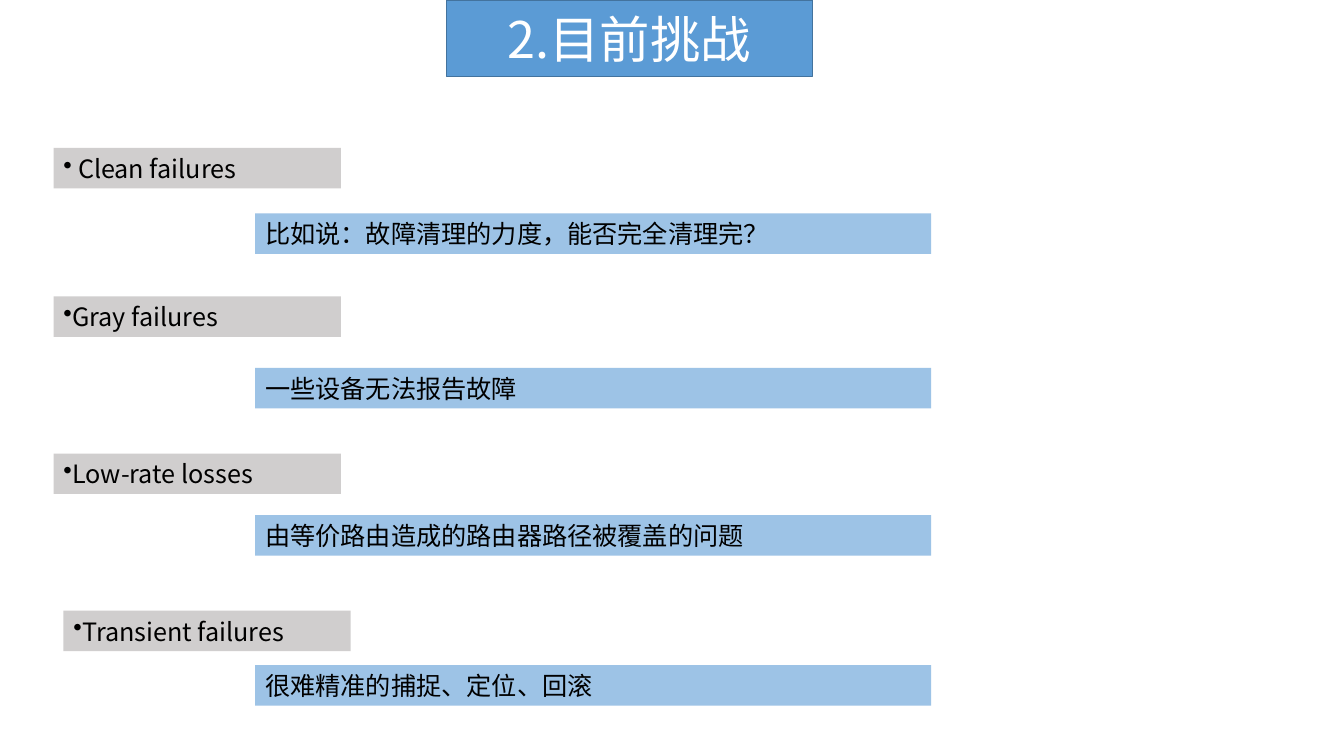
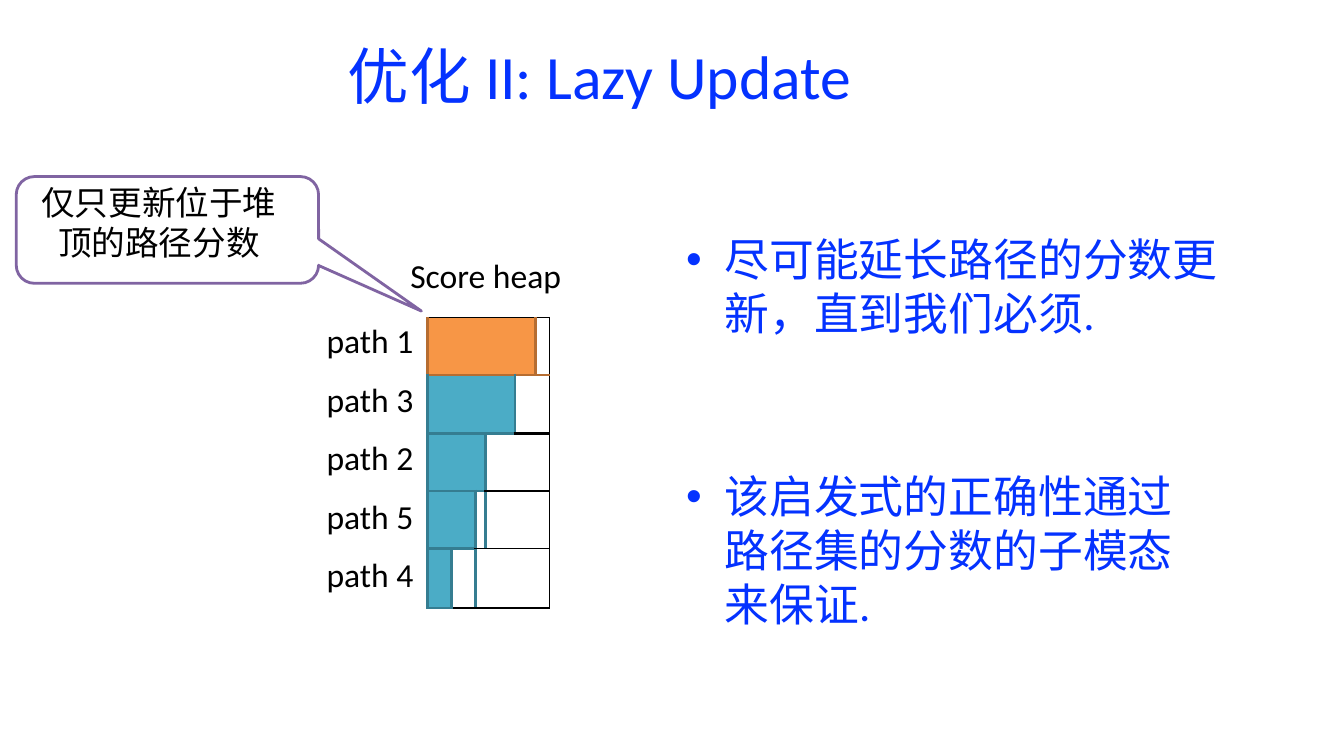
"""Build two slides on network failure challenges and lazy path updates."""
from lxml import etree
from pptx import Presentation
from pptx.dml.color import RGBColor
from pptx.enum import shapes, text
from pptx.oxml import ns
from pptx.util import Cm, Pt

COLORS = {
    "black": "000000", "white": "FFFFFF", "blue": "0432FF",
    "banner": "5B9BD5", "banner_edge": "43739E",
    "gray": "D0CECE", "sky": "9DC3E6", "purple": "8064A2",
    "orange": "F79646", "orange_edge": "B66D31",
    "teal": "4BACC6", "teal_edge": "357D91",
}
NOTO, CALIBRI = "Noto Sans CJK SC", "Calibri"
NO_STYLE = "{2D5ABB26-0587-4C30-8999-92F81FD0307C}"

CHALLENGES = [
    (" Clean failures", 1.35, 3.73, "比如说：故障清理的力度，能否完全清理完？", 5.38),
    ("Gray failures", 1.35, 7.47, "一些设备无法报告故障", 9.27),
    ("Low-rate losses", 1.35, 11.43, "由等价路由造成的路由器路径被覆盖的问题", 12.98),
    ("Transient failures", 1.6, 15.39, "很难精准的捕捉、定位、回滚", 16.76),
]
POINTS = [
    ("尽可能延长路径的分数更新，直到我们必须.", (17.27, 5.82, 13.51, 2.77)),
    ("该启发式的正确性通过路径集的分数的子模态来保证.", (17.27, 11.79, 13.31, 4.14)),
]
PATHS = ["1", "3", "2", "5", "4"]
HEAP_COLS = [0.61, 0.61, 0.25, 0.74, 0.51, 0.36]
HEAP_ROWS = [1.45, 1.47, 1.45, 1.45, 1.5]
ROW_RULES = [("black", 1), ("orange_edge", 2.25), ("black", 2.25),
             ("black", 1.5), ("black", 1.5), ("black", 1)]


def rgb(name):
    return RGBColor.from_string(COLORS[name])


def child(parent, tag, **attrs):
    return etree.SubElement(parent, ns.qn(tag), **attrs)


def place(sp, box):
    sp.left, sp.top, sp.width, sp.height = (Cm(v) for v in box)


def paint(sp, fill=None, line=None, width=1):
    if fill:
        sp.fill.solid()
        sp.fill.fore_color.rgb = rgb(fill)
    else:
        sp.fill.background()
    if line:
        sp.line.color.rgb = rgb(line)
        sp.line.width = Pt(width)
    else:
        sp.line.fill.background()


def frame(sp, anchor=text.MSO_ANCHOR.TOP, margins=None):
    tf = sp.text_frame
    tf.word_wrap = True
    tf.auto_size = text.MSO_AUTO_SIZE.NONE
    tf.vertical_anchor = anchor
    if margins:
        tf.margin_left, tf.margin_top, tf.margin_right, tf.margin_bottom = (
            Cm(v) for v in margins)
    return tf


def write(p, words, size, font, color="black", align=text.PP_ALIGN.LEFT, before=0):
    p.alignment = align
    p.space_before = Pt(before)
    r = p.add_run()
    r.text = words
    r.font.size = Pt(size)
    r.font.name = font
    r.font.color.rgb = rgb(color)
    child(r.font._element, "a:ea", typeface=font)


def bullet(p, margin=0, hang=0):
    pPr = p._p.get_or_add_pPr()
    pPr.set("marL", str(Cm(margin)))
    pPr.set("indent", str(-Cm(hang)))
    child(pPr, "a:buChar", char="•")


def add_shape(s, kind, box):
    sp = s.shapes.add_shape(kind, *(Cm(v) for v in box))
    sp.shadow.inherit = False
    return sp


def bar(s, box, fill, words, bulleted=False):
    sp = add_shape(s, shapes.MSO_SHAPE.RECTANGLE, box)
    paint(sp, fill)
    p = frame(sp, text.MSO_ANCHOR.MIDDLE).paragraphs[0]
    write(p, words, 18, NOTO)
    if bulleted:
        bullet(p)


def textbox(s, box, lines, top=0.03, before=0):
    tf = frame(s.shapes.add_textbox(*(Cm(v) for v in box)), margins=(0, top, 0, 0))
    for i, words in enumerate(lines):
        p = tf.add_paragraph() if i else tf.paragraphs[0]
        write(p, words, 24, CALIBRI, before=before if i else 0)


def style_cell(cell, fill=None, **edges):
    cell.margin_left = cell.margin_right = 0
    tcPr = cell._tc.get_or_add_tcPr()
    for side in "LRTB":
        if side in edges:
            color, width = edges[side]
            ln = child(tcPr, "a:ln" + side, w=str(Pt(width)))
            child(child(ln, "a:solidFill"), "a:srgbClr", val=COLORS[color])
    if fill:
        cell.fill.solid()
        cell.fill.fore_color.rgb = rgb(fill)
    else:
        cell.fill.background()


def score_heap(s, left, top):
    rows, cols = len(HEAP_ROWS), len(HEAP_COLS)
    gf = s.shapes.add_table(rows, cols, Cm(left), Cm(top),
                            Cm(sum(HEAP_COLS)), Cm(sum(HEAP_ROWS)))
    tbl = gf.table
    tbl.first_row = tbl.horz_banding = False
    tbl._tbl.tblPr.find(ns.qn("a:tableStyleId")).text = NO_STYLE
    for col, width in zip(tbl.columns, HEAP_COLS):
        col.width = Cm(width)
    for row, height in zip(tbl.rows, HEAP_ROWS):
        row.height = Cm(height)
    above = ROW_RULES[0]
    for i in range(rows):
        filled = rows - i
        fill = "teal" if i else "orange"
        edge = (fill + "_edge", 2.25)
        if filled > 1:
            tbl.cell(i, 0).merge(tbl.cell(i, filled - 1))
        style_cell(tbl.cell(i, 0), fill, L=edge, R=edge, T=above if i == 0 else edge
                   if i > 1 else ROW_RULES[1], B=edge)
        if i:
            tbl.cell(i, cols - 2).merge(tbl.cell(i, cols - 1))
        last = cols - 2 if i else cols - 1
        for j in range(filled, last + 1):
            edges = {"T": ROW_RULES[i], "B": ROW_RULES[i + 1]}
            if j == filled:
                edges.update(L=edge, T=above)
                if i > 2:
                    edges["R"] = edge
            if j == last:
                edges["R"] = ("black", 1)
            style_cell(tbl.cell(i, j), **edges)
        above = edge


def challenges_slide(prs):
    s = prs.slides.add_slide(prs.slide_layouts[5])
    sp = s.shapes.title
    place(sp, (11.25, 0, 9.22, 1.93))
    child(child(sp._element.spPr, "a:prstGeom", prst="roundRect"), "a:avLst")
    paint(sp, "banner", "banner_edge")
    write(frame(sp, text.MSO_ANCHOR.MIDDLE).paragraphs[0], "2.目前挑战", 36, NOTO,
          "white", text.PP_ALIGN.CENTER)
    for name, left, top, note, note_top in CHALLENGES:
        bar(s, (left, top, 7.24, 1.02), "gray", name, True)
        bar(s, (6.43, note_top, 17.04, 1.02), "sky", note)


def lazy_update_slide(prs):
    s = prs.slides.add_slide(prs.slide_layouts[3])
    place(s.shapes.title, (8.51, 0.84, 19.66, 2.13))
    write(frame(s.shapes.title).paragraphs[0], "优化 II: Lazy Update", 44, CALIBRI, "blue")
    for idx, (words, box) in enumerate(POINTS, 1):
        sp = s.placeholders[idx]
        place(sp, box)
        p = frame(sp, margins=(0, 0.03, 0, 0)).paragraphs[0]
        write(p, words, 32, CALIBRI, "blue")
        bullet(p, 0.99, 0.97)
    textbox(s, (10.34, 6.4, 3.86, 1.09), ["Score heap"])
    score_heap(s, 10.77, 8)
    sp = add_shape(s, shapes.MSO_SHAPE.ROUNDED_RECTANGULAR_CALLOUT,
                   (0.41, 4.45, 7.62, 2.69))
    for i, value in enumerate((0.84, 0.76, 0.17)):
        sp.adjustments[i] = value
    paint(sp, line="purple", width=2)
    write(frame(sp, margins=(0.18, 0, 0.61, 0)).paragraphs[0], "仅只更新位于堆顶的路径分数",
          24, CALIBRI, align=text.PP_ALIGN.CENTER)
    textbox(s, (8.23, 7.57, 2.26, 7.47), ["path " + n for n in PATHS], 0.5, 13)


prs = Presentation()
prs.slide_width, prs.slide_height = Cm(33.87), Cm(19.05)
challenges_slide(prs)
lazy_update_slide(prs)
prs.save("out.pptx")
